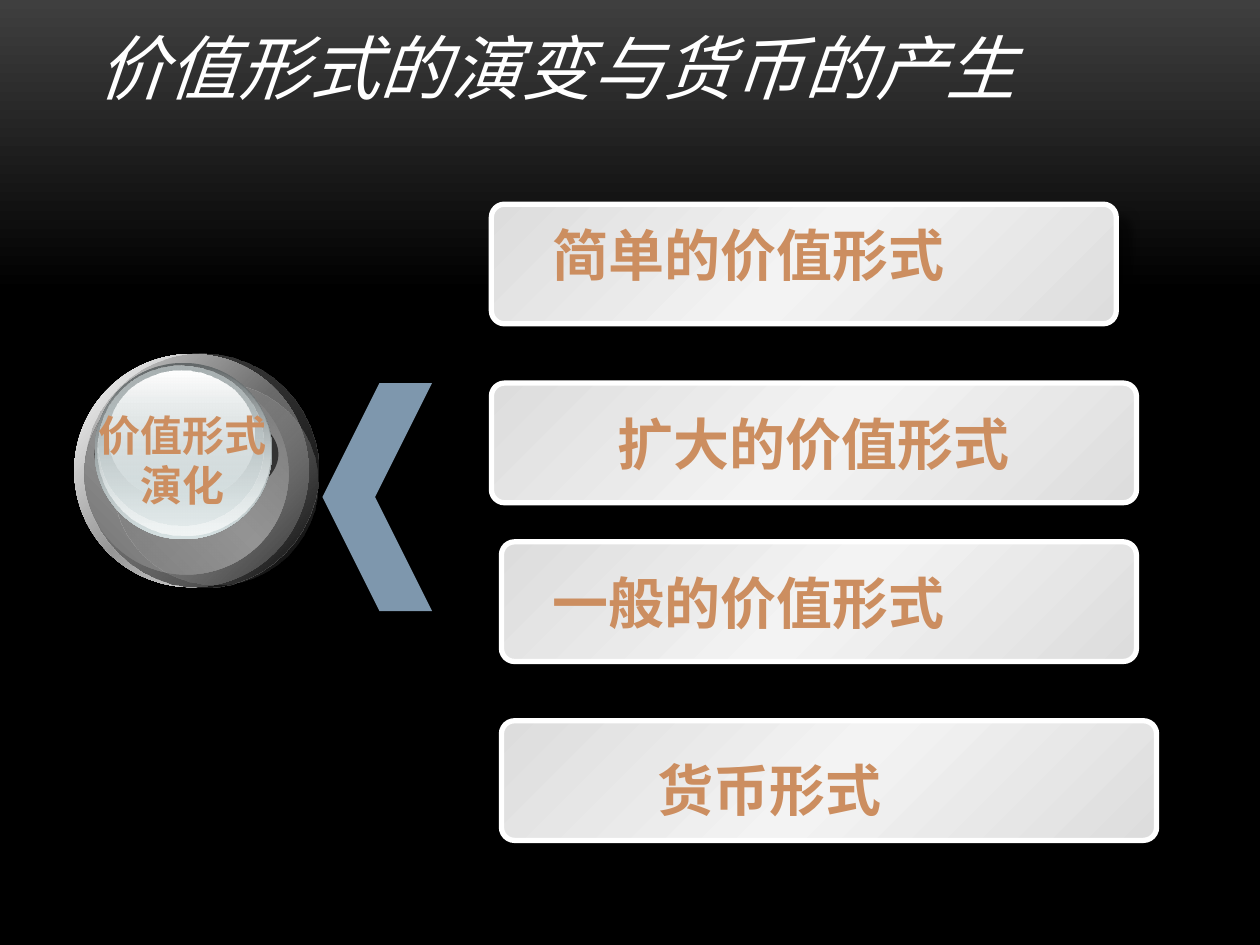
from lxml import etree
from pptx import Presentation
from pptx import util as u
from pptx.dml.color import RGBColor
from pptx.enum import shapes, text
from pptx.oxml import ns

WHITE = RGBColor(0xFF, 0xFF, 0xFF)
COPPER = RGBColor(0xCC, 0x8E, 0x60)
STEEL = RGBColor(0x7E, 0x97, 0xAD)
DARK = RGBColor(0x33, 0x33, 0x33)
BLACK = RGBColor(0, 0, 0)
INK = RGBColor(0x3F, 0x3F, 0x3F)
PALE = RGBColor(0xDD, 0xDD, 0xDD)
LIGHT = RGBColor(0xF3, 0xF3, 0xF3)
GRAY = RGBColor(0x96, 0x96, 0x96)
IRON = RGBColor(0x73, 0x73, 0x73)
LEAD = RGBColor(0x7B, 0x7B, 0x7B)
SLATE = RGBColor(0x63, 0x68, 0x69)
MIST = RGBColor(0xD6, 0xE1, 0xE2)
FROST = RGBColor(0xF1, 0xF5, 0xF5)
ASH = RGBColor(0xAA, 0xB2, 0xB3)

SERIF, SANS, HAN = "Times New Roman", "Arial", "Noto Sans CJK SC"
KIND = shapes.MSO_SHAPE
ALIGN = text.PP_ALIGN
ANCHOR = text.MSO_ANCHOR


def sub(parent, tag, **attrs):
    node = etree.SubElement(parent, ns.qn(tag))
    for key, val in attrs.items():
        node.set(key, str(val))
    return node


def tint(parent, color, alpha):
    node = sub(parent, "a:srgbClr", val=color)
    if alpha < 100:
        sub(node, "a:alpha", val=alpha * 1000)


def blend(fill, root, stops, angle):
    """Fill with (position, colour[, opacity]) stops; root holds the fill's XML."""
    fill.solid()
    old = next(root.iter(ns.qn("a:solidFill")))
    grad = etree.Element(ns.qn("a:gradFill"), rotWithShape="1")
    group = sub(grad, "a:gsLst")
    for pos, color, *alpha in stops:
        tint(sub(group, "a:gs", pos=pos * 1000), color, alpha[0] if alpha else 100)
    sub(grad, "a:lin", ang=angle * 60000, scaled=0)
    old.getparent().replace(old, grad)


def write(frame, words, size=32, font=SERIF, color=COPPER, bold=True, italic=False,
          align=ALIGN.CENTER, anchor=ANCHOR.TOP, wrap=True, space=0):
    frame.word_wrap = wrap
    frame.vertical_anchor = anchor
    para = frame.paragraphs[0]
    para.alignment = align
    run = para.add_run()
    run.text = words
    face = run.font
    face.name, face.size, face.bold, face.italic = font, u.Pt(size), bold, italic
    face.color.rgb = color
    props = run._r.get_or_add_rPr()
    sub(props, "a:ea", typeface=HAN)
    if space:
        props.set("spc", str(int(space * 100)))


class Deck:
    def __init__(self):
        self.show = Presentation()
        self.show.slide_width, self.show.slide_height = u.Inches(10), u.Inches(7.5)
        self.slide = self.show.slides.add_slide(self.show.slide_layouts[5])

    def back(self, stops, angle):
        blend(self.slide.background.fill, self.slide._element.cSld, stops, angle)

    def title(self, words, box):
        head = self.slide.shapes.title
        head.left, head.top, head.width, head.height = map(u.Inches, box)
        write(head.text_frame, words, size=40, font=HAN, color=WHITE, bold=False,
              italic=True, align=ALIGN.LEFT, anchor=ANCHOR.MIDDLE, space=0.5)

    def shape(self, kind, box, fill, angle=0, home=None):
        """Add a preset shape; fill is one colour or a list of gradient stops."""
        item = (home or self.slide).shapes.add_shape(kind, *map(u.Inches, box))
        item.shadow.inherit = False
        if isinstance(fill, list):
            blend(item.fill, item._element.spPr, fill, angle)
        else:
            item.fill.solid()
            item.fill.fore_color.rgb = fill
        item.line.fill.background()
        return item

    def bar(self, box):
        item = self.shape(KIND.ROUNDED_RECTANGLE, box,
                          [(0, PALE), (50, LIGHT), (100, PALE)], 45)
        item.adjustments[0] = 0.11
        item.line.color.rgb = WHITE
        item.line.width = u.Pt(3)
        glow = item._element.spPr.find(ns.qn("a:effectLst"))
        cast = sub(glow, "a:outerShdw", blurRad=u.Pt(5), dist=u.Pt(10.6),
                   dir=49 * 60000, algn="ctr", rotWithShape=0)
        tint(cast, BLACK, 50)
        return item

    def arrow(self, box):
        item = self.shape(KIND.CHEVRON, box, STEEL)
        item.adjustments[0] = 0.52
        for flip in ("flipH", "flipV"):
            item._element.spPr.xfrm.set(flip, "1")

    def label(self, words, box, **style):
        item = self.slide.shapes.add_textbox(*map(u.Inches, box))
        write(item.text_frame, words, **style)


def main():
    deck = Deck()
    deck.back([(0, INK), (31, BLACK), (100, BLACK)], 90)
    deck.title("价值形式的演变与货币的产生", (0.67, 0.1, 8.67, 0.85))

    places = [(3.9, 1.62, 4.96), (3.9, 3.04, 5.12), (3.98, 4.3, 5.04), (3.98, 5.72, 5.2)]
    bars = [deck.bar((*place, 0.95)) for place in places]
    write(bars[1].text_frame, "扩大的价值形式", anchor=ANCHOR.MIDDLE, wrap=False)
    for words, left, top, width in [("简单的价值形式", 3.58, 1.7, 4.72),
                                    ("一般的价值形式", 3.19, 4.46, 5.51),
                                    ("货币形式", 3.35, 5.95, 5.51)]:
        deck.label(words, (left, top, width, 0.63))

    deck.arrow((2.56, 3.04, 0.87, 1.81))

    rings = [
        ((0.59, 2.81, 1.86, 1.85), [(0, WHITE), (50, GRAY), (100, WHITE)], 45),
        ((0.67, 2.81, 1.86, 1.85), [(0, GRAY, 32), (100, BLACK, 90)], 45),
        ((0.67, 2.96, 1.62, 1.6), [(0, IRON), (50, GRAY), (100, IRON)], 315),
        ((0.9, 3.04, 1.62, 1.6), [(0, LEAD), (100, GRAY, 0)], 45),
        ((0.75, 3.2, 1.46, 0.81), DARK, 0),
    ]
    for box, fill, angle in rings:
        deck.shape(KIND.OVAL, box, fill, angle)

    ball = deck.slide.shapes.add_group_shape()
    layers = [
        ((0.75, 2.88, 1.41, 1.4), [(0, SLATE), (100, MIST)]),
        ((0.77, 2.89, 1.38, 1.36), [(0, MIST, 0), (100, FROST)]),
        ((0.78, 2.9, 1.31, 1.27), [(0, ASH), (100, MIST, 48)]),
        ((0.86, 2.94, 1.16, 1.03), [(0, WHITE), (100, MIST, 38)]),
    ]
    for box, fill in layers:
        deck.shape(KIND.OVAL, box, fill, 90, home=ball)
    deck.label("价值形式演化", (0.67, 3.2, 1.55, 0.9), size=24, font=SANS)

    deck.show.save("out.pptx")


if __name__ == "__main__":
    main()
